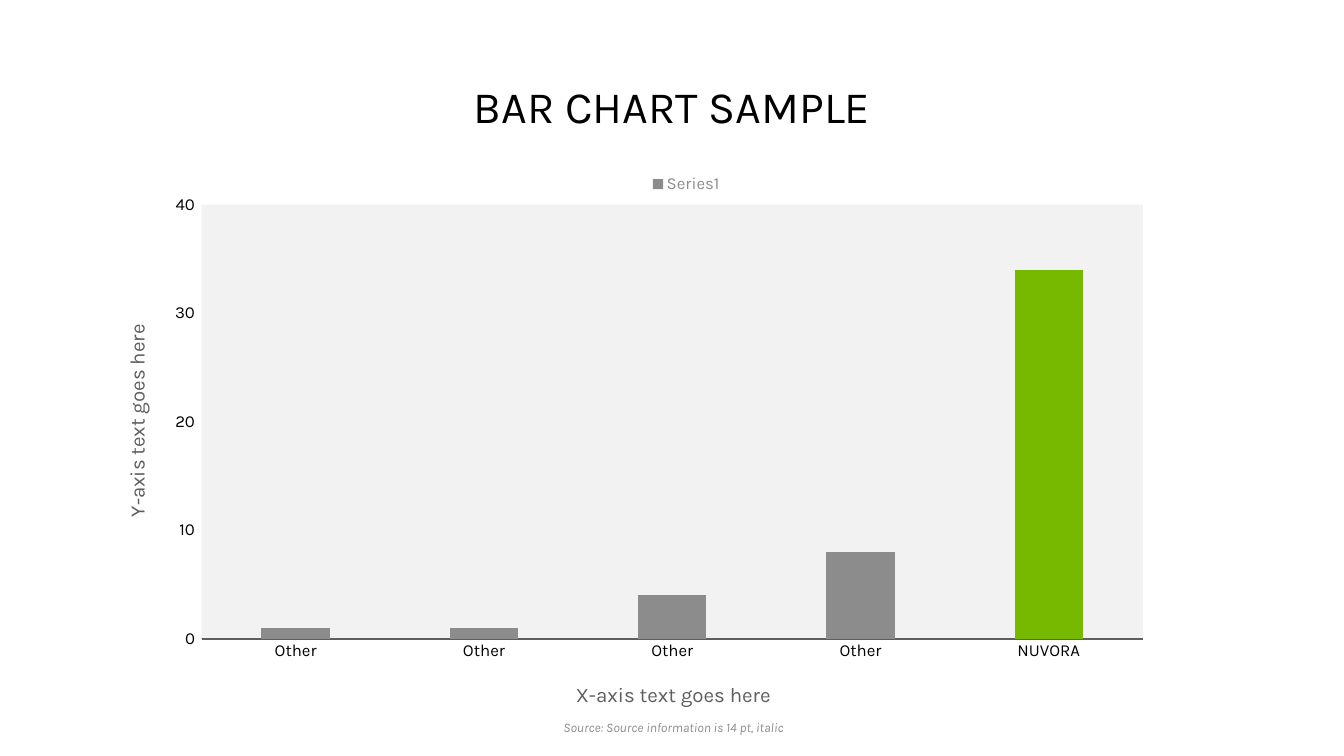
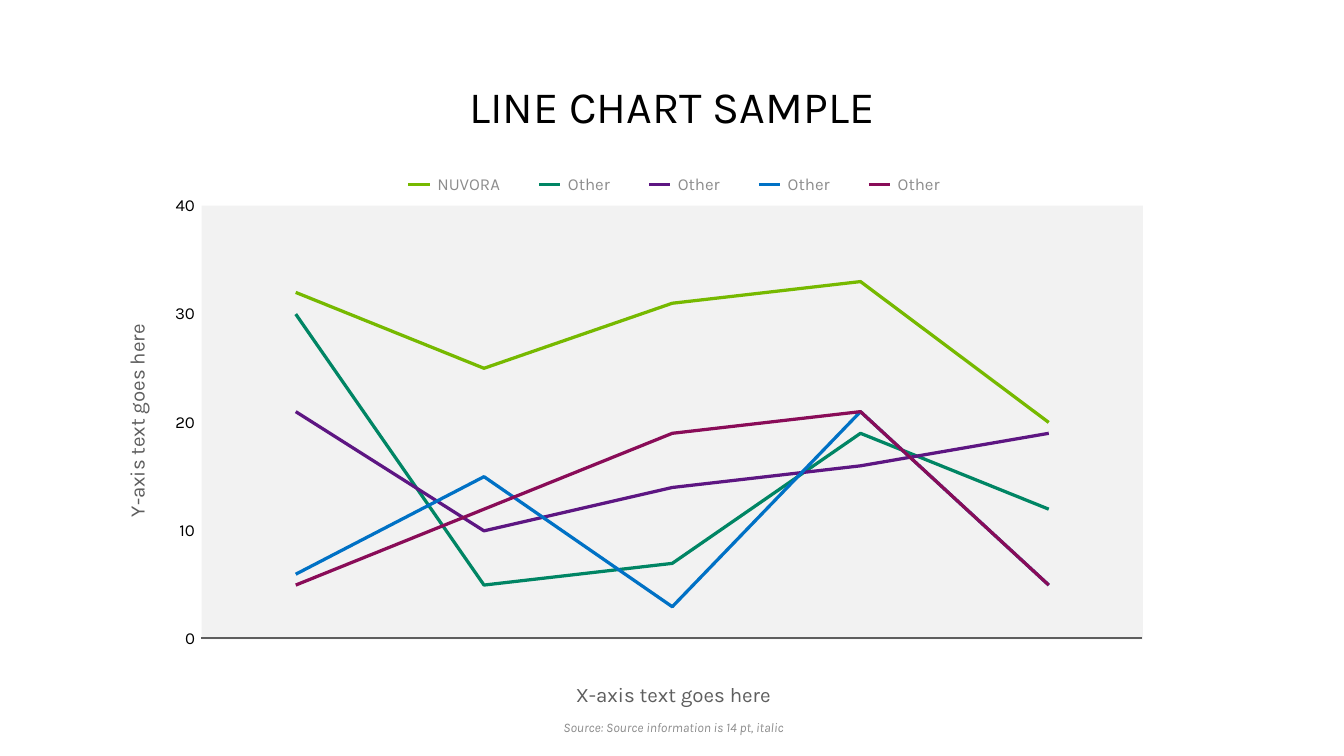
from dataclasses import dataclass

from lxml import etree
from pptx import Presentation
from pptx.chart.data import CategoryChartData
from pptx.dml.color import RGBColor
from pptx.enum.chart import XL_CHART_TYPE, XL_LEGEND_POSITION, XL_MARKER_STYLE, XL_TICK_MARK
from pptx.enum.shapes import MSO_CONNECTOR
from pptx.enum.text import MSO_ANCHOR, MSO_AUTO_SIZE, PP_ALIGN
from pptx.oxml import parse_xml
from pptx.oxml.ns import qn
from pptx.util import Pt

BAR = XL_CHART_TYPE.COLUMN_CLUSTERED
LINE = XL_CHART_TYPE.LINE
TOP = XL_LEGEND_POSITION.TOP
NO_MARK = XL_MARKER_STYLE.NONE
NO_TICK = XL_TICK_MARK.NONE
OUT_TICK = XL_TICK_MARK.OUTSIDE
STRAIGHT = MSO_CONNECTOR.STRAIGHT
BOTTOM = MSO_ANCHOR.BOTTOM
CENTER = PP_ALIGN.CENTER
NO_FIT = MSO_AUTO_SIZE.NONE
NS = "http://schemas.openxmlformats.org/drawingml/2006/"


@dataclass(frozen=True)
class Theme:
    font: str = "Karla"
    black: str = "000000"
    white: str = "FFFFFF"
    dark: str = "5E5E5E"
    gray: str = "8C8C8C"
    pale: str = "F2F2F2"
    green: str = "76B900"
    teal: str = "008564"
    purple: str = "5D1682"
    blue: str = "0071C5"
    wine: str = "890C58"
    head: int = 48
    axis: int = 22
    label: int = 18
    note: int = 14
    base: int = 10


def rgb(code):
    return RGBColor.from_string(code)


class Deck:
    """Holds the theme and the current slide, and draws each kind of element."""

    def __init__(self, theme):
        self.theme = theme
        self.file = Presentation()
        self.file.slide_width, self.file.slide_height = Pt(1440), Pt(810)
        self.slide = None

    def style(self, font, size, color):
        font.name, font.size = self.theme.font, Pt(size)
        font.color.rgb = rgb(color)

    def fill_text(self, shape, text, size, color, italic=None):
        frame = shape.text_frame
        frame.word_wrap = True
        frame.auto_size = NO_FIT
        frame.vertical_anchor = BOTTOM
        para = frame.paragraphs[0]
        para.alignment, para.line_spacing = CENTER, 0.9
        run = para.add_run()
        run.text = text
        self.style(run.font, size, color)
        run.font.italic = italic

    def start(self, title):
        self.slide = self.file.slides.add_slide(self.file.slide_layouts[5])
        shape = self.slide.shapes.title
        shape.left, shape.top = Pt(65.5), Pt(68.4)
        shape.width, shape.height = Pt(1309), Pt(77.8)
        self.fill_text(shape, title, self.theme.head, self.theme.black)

    def text(self, box, text, size, color, turn=0, italic=None):
        shape = self.slide.shapes.add_textbox(*map(Pt, box))
        shape.rotation = turn
        self.fill_text(shape, text, size, color, italic)

    def notes(self):
        t = self.theme
        self.text((68.4, 759, 1306.8, 32.4), "Source: Source information is 14 pt, italic",
                  t.note, t.gray, italic=True)
        self.text((217.4, 725, 1008, 36), "X-axis text goes here", t.axis, t.dark)
        self.text((-88.6, 432.7, 468, 36), "Y-axis text goes here", t.axis, t.dark, turn=270)

    def rule(self, color, width):
        line = self.slide.shapes.add_connector(STRAIGHT, Pt(215.3), Pt(684), Pt(1223.3), Pt(684))
        line.line.color.rgb = rgb(color)
        line.line.width = Pt(width)
        etree.SubElement(line._element.spPr, qn("a:effectLst"))

    def place(self, parent, index, box, inner=False):
        for old in parent.findall(qn("c:layout")):
            parent.remove(old)
        target = '<c:layoutTarget val="inner"/>' if inner else ""
        modes = "".join(f'<c:{k}Mode val="edge"/>' for k in "xy")
        sizes = "".join(f'<c:{k} val="{v}"/>' for k, v in zip("xywh", box))
        parent.insert(index, parse_xml(
            f'<c:layout xmlns:c="{NS}chart"><c:manualLayout>{target}{modes}{sizes}'
            '</c:manualLayout></c:layout>'))

    def chart(self, kind, box, cats, series, plot, key):
        t = self.theme
        data = CategoryChartData()
        data.categories = cats
        for name, _, values in series:
            data.add_series(name, values)
        chart = self.slide.shapes.add_chart(kind, *map(Pt, box), data).chart
        chart.has_title = False
        self.style(chart.font, t.base, t.white)

        area = chart._chartSpace.chart.plotArea
        self.place(area, 0, plot, inner=True)
        area.append(parse_xml(
            f'<c:spPr xmlns:c="{NS}chart" xmlns:a="{NS}main"><a:solidFill>'
            f'<a:srgbClr val="{t.pale}"/></a:solidFill><a:ln><a:noFill/></a:ln></c:spPr>'))

        chart.has_legend = True
        legend = chart.legend
        legend.position, legend.include_in_layout = TOP, False
        self.style(legend.font, t.label, t.gray)
        self.place(legend._element, 1, key)

        axis = chart.value_axis
        axis.minimum_scale, axis.maximum_scale, axis.major_unit = 0, 40, 10
        axis.has_major_gridlines = False
        axis.major_tick_mark, axis.minor_tick_mark = OUT_TICK, NO_TICK
        axis.format.line.fill.background()
        self.style(axis.tick_labels.font, t.label, t.black)

        for item, (_, color, _) in zip(chart.plots[0].series, series):
            if kind == LINE:
                item.smooth = False
                item.marker.style = NO_MARK
                item.format.line.color.rgb = rgb(color)
                item.format.line.width = Pt(3.5)
            else:
                self.paint(item, color)
        return chart

    def paint(self, item, color):
        item.format.fill.solid()
        item.format.fill.fore_color.rgb = rgb(color)

    def bars(self):
        t = self.theme
        chart = self.chart(
            BAR, (87.8, 165.6, 1308.2, 576), ["Other"] * 4 + ["NUVORA"],
            [("Series1", t.gray, (1, 1, 4, 8, 34))],
            (0.098, 0.093, 0.771, 0.808), (0.45, 0.03, 0.09, 0.05))
        plot = chart.plots[0]
        plot.gap_width, plot.vary_by_categories = 175, False
        self.paint(plot.series[0].points[4], t.green)
        axis = chart.category_axis
        axis.has_major_gridlines = False
        axis.major_tick_mark = axis.minor_tick_mark = NO_TICK
        axis.format.line.color.rgb = rgb(t.dark)
        axis.format.line.width = Pt(2)
        self.style(axis.tick_labels.font, t.label, t.black)

    def lines(self):
        t = self.theme
        chart = self.chart(
            LINE, (87.8, 139, 1308.2, 617), list("12345"),
            [(" NUVORA", t.green, (32, 25, 31, 33, 20)),
             (" Other", t.teal, (30, 5, 7, 19, 12)),
             (" Other", t.purple, (21, 10, 14, 16, 19)),
             (" Other", t.blue, (6, 15, 3, 21, 5)),
             (" Other", t.wine, (5, 12, 19, 21, 5))],
            (0.098, 0.132, 0.771, 0.753), (0.24, 0.07, 0.49, 0.05))
        chart.category_axis.visible = False


def main():
    theme = Theme()
    deck = Deck(theme)
    deck.start("BAR CHART SAMPLE")
    deck.rule(theme.gray, 1.5)
    deck.bars()
    deck.notes()
    deck.start("LINE CHART SAMPLE")
    deck.lines()
    deck.rule(theme.dark, 2)
    deck.notes()
    deck.file.save("out.pptx")


if __name__ == "__main__":
    main()
